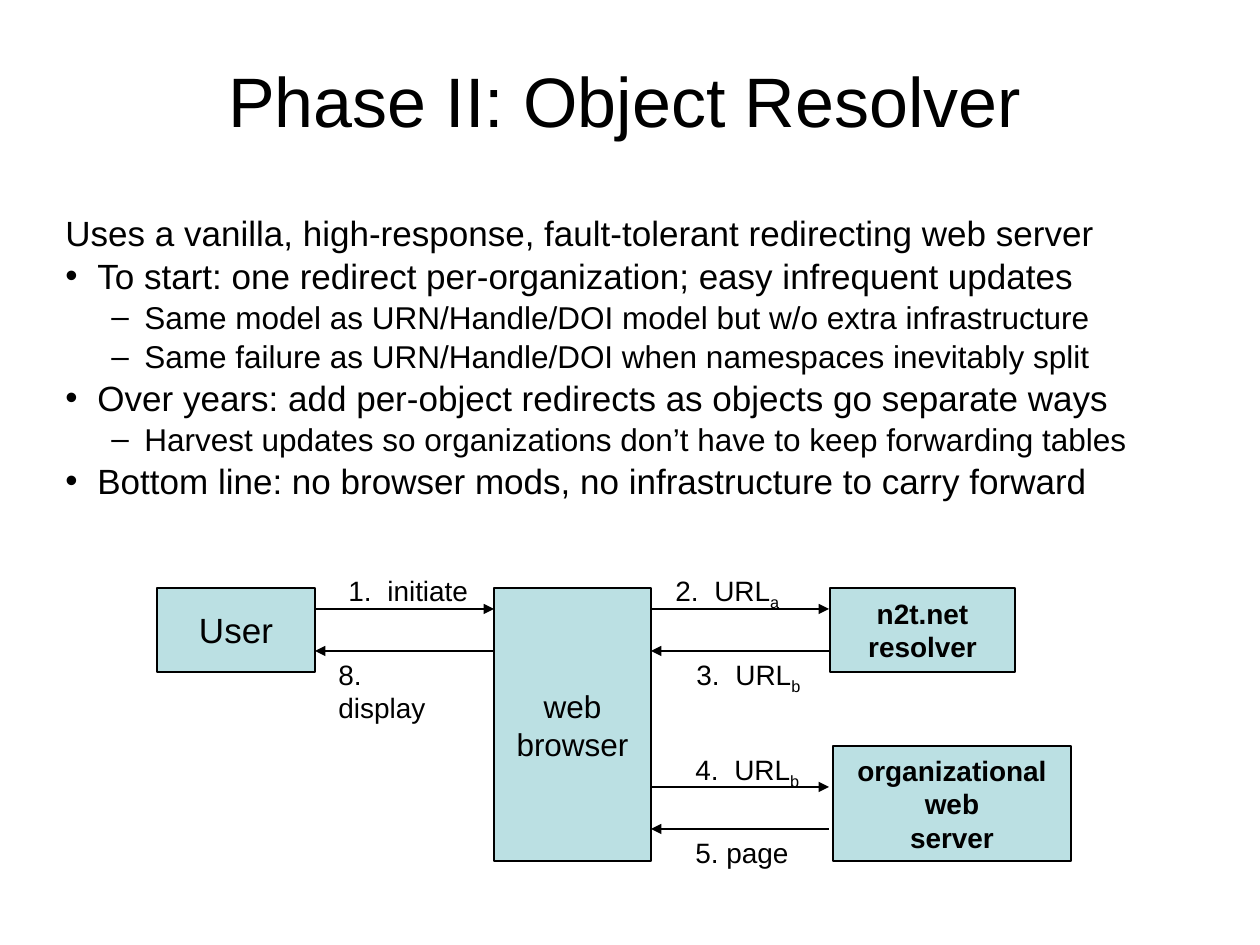
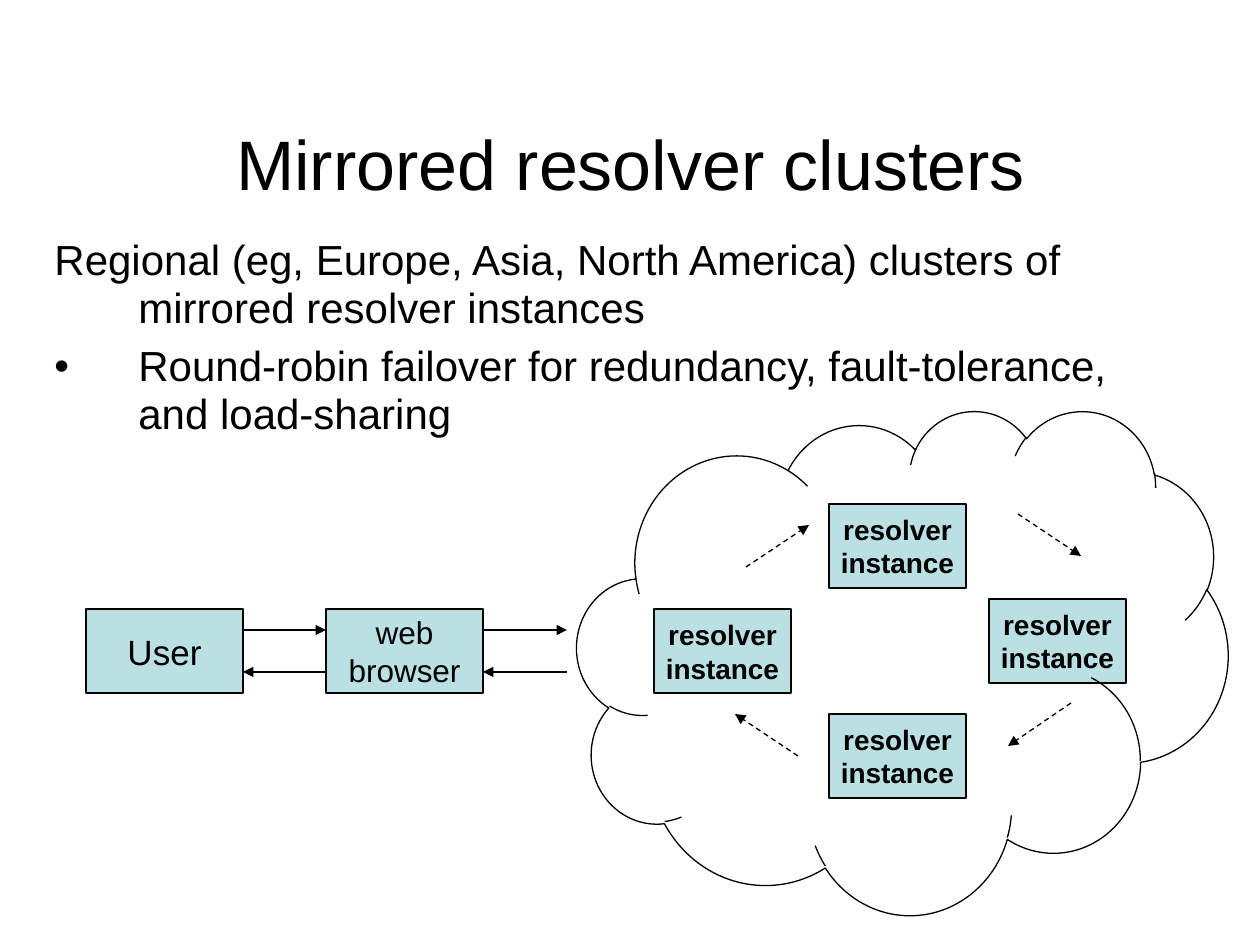
from lxml.etree import SubElement
from pptx import Presentation
from pptx.dml.color import RGBColor
from pptx.enum.dml import MSO_LINE
from pptx.enum.shapes import MSO_CONNECTOR, MSO_SHAPE
from pptx.enum.text import MSO_ANCHOR, PP_ALIGN
from pptx.oxml.ns import qn
from pptx.util import Pt

BLACK = RGBColor(0x00, 0x00, 0x00)
AQUA = RGBColor(0xBB, 0xE0, 0xE3)
FONT = "Arial"
PX = 914400 / 126
TAB = 39

# Bullet styles: mark, left margin, hang (px)
PLAIN, DOT, DASH = "plain", "dot", "dash"

# Boxes: x, y, w, h, text, size, bold; a place is in px
# Labels: x, y, text, subscript
# Arrows: x1, y1, x2, y2
PHASE = {
    "title": ("Phase II: Object Resolver", (73, 21, 1103, 158)),
    "body": (53, 212, 1103, 315),
    "marks": {PLAIN: (None, 32, 32), DOT: ("•", 32, 32), DASH: ("–", 79, 33)},
    "space": 0.83,
    "sizes": {PLAIN: (20, 5), DOT: (20, 5), DASH: (18, 4.5)},
    "points": [
        (PLAIN, "Uses a vanilla, high-response, fault-tolerant redirecting web server"),
        (DOT, "To start: one redirect per-organization; easy infrequent updates"),
        (DASH, "Same model as URN/Handle/DOI model but w/o extra infrastructure"),
        (DASH, "Same failure as URN/Handle/DOI when namespaces inevitably split"),
        (DOT, "Over years: add per-object redirects as objects go separate ways"),
        (DASH, "Harvest updates so organizations don’t have to keep forwarding tables"),
        (DOT, "Bottom line: no browser mods, no infrastructure to carry forward"),
    ],
    "boxes": [
        (157, 588, 158, 84, "User", 20, False),
        (494, 588, 157, 273, "web\nbrowser", 18, False),
        (830, 588, 185, 84, "n2t.net\nresolver", 16, True),
        (833, 746, 238, 115, "organizational web\nserver", 16, True),
    ],
    "labels": [
        (336, 567, "1.\tinitiate", ""),
        (663, 567, "2.\tURL", "a"),
        (684, 651, "3.\tURL", "b"),
        (683, 746, "4.\tURL", "b"),
        (683, 829, "5. page", ""),
        (326, 651, "8.\tdisplay", ""),
    ],
    "arrows": [
        (315, 609, 494, 609), (494, 651, 315, 651),
        (651, 609, 829, 609), (829, 651, 651, 651),
        (651, 787, 829, 787), (829, 829, 651, 829),
    ],
}

NODES = [(829, 504), (989, 599), (829, 714), (654, 609)]
CLUSTER = {
    "title": ("Mirrored resolver clusters", (95, 84, 1071, 158)),
    "body": (42, 231, 1103, 210),
    "marks": {PLAIN: (None, 84, 84), DOT: ("•", 84, 84)},
    "space": 0.95,
    "sizes": {PLAIN: (24, 6), DOT: (24, 6)},
    "points": [
        (PLAIN, "Regional (eg, Europe, Asia, North America) clusters of "
                "mirrored resolver instances"),
        (DOT, "Round-robin failover for redundancy, fault-tolerance, "
              "and load-sharing"),
    ],
    "boxes": [
        (86, 609, 157, 84, "User", 20, False),
        (326, 609, 157, 84, "web\nbrowser", 18, False),
    ] + [(x, y, 137, 84, "resolver\ninstance", 16, True) for x, y in NODES],
    "labels": [],
    "arrows": [
        (243, 630, 326, 630), (326, 672, 243, 672),
        (483, 630, 567, 630), (567, 672, 483, 672),
    ],
}
CLOUD = (577, 410, 651, 504)
CYCLE = [
    (746, 567, 809, 525), (1018, 514, 1081, 556),
    (1071, 703, 1008, 746), (798, 756, 735, 714),
]


def emu(*px):
    return [round(n * PX) for n in px]


def style(para, size, bold=False):
    for run in para.runs:
        font = run.font
        font.name, font.size, font.bold = FONT, Pt(size), bold
        font.color.rgb = BLACK


def add_title(slide, text, place):
    title = slide.shapes.title
    title.left, title.top, title.width, title.height = emu(*place)
    frame = title.text_frame
    frame.text = text
    frame.vertical_anchor = MSO_ANCHOR.MIDDLE
    para = frame.paragraphs[0]
    para.alignment = PP_ALIGN.CENTER
    style(para, 40)


def add_body(slide, data):
    frame = slide.shapes.add_textbox(*emu(*data["body"])).text_frame
    frame.word_wrap = True
    frame.text = "\n".join(text for _, text in data["points"])
    for i, (kind, _) in enumerate(data["points"]):
        para = frame.paragraphs[i]
        mark, left, hang = data["marks"][kind]
        size, gap = data["sizes"][kind]
        para.level = 1 if kind == DASH else 0
        para.line_spacing = data["space"]
        para.space_before = Pt(gap if i else 0)
        prop = para._p.get_or_add_pPr()
        prop.set("marL", str(emu(left)[0]))
        prop.set("indent", str(emu(-hang)[0]))
        if mark:
            SubElement(prop, qn("a:buFont"), typeface=FONT)
            SubElement(prop, qn("a:buChar"), char=mark)
        else:
            SubElement(prop, qn("a:buNone"))
        style(para, size)


def add_shape(slide, kind, place):
    shape = slide.shapes.add_shape(kind, *emu(*place))
    shape.shadow.inherit = False
    shape.line.color.rgb = BLACK
    shape.line.width = Pt(0.75)
    return shape


def add_box(slide, x, y, w, h, text, size, bold):
    box = add_shape(slide, MSO_SHAPE.RECTANGLE, (x, y, w, h))
    box.fill.solid()
    box.fill.fore_color.rgb = AQUA
    frame = box.text_frame
    frame.margin_left = frame.margin_right = 0
    frame.margin_top = frame.margin_bottom = 0
    frame.word_wrap = True
    frame.vertical_anchor = MSO_ANCHOR.MIDDLE
    frame.text = text
    for para in frame.paragraphs:
        para.alignment = PP_ALIGN.CENTER
        style(para, size, bold)


def add_label(slide, x, y, text, sub):
    frame = slide.shapes.add_textbox(*emu(x, y, 145, 47)).text_frame
    frame.word_wrap = False
    frame.text = text
    para = frame.paragraphs[0]
    if "\t" in text:
        tabs = SubElement(para._p.get_or_add_pPr(), qn("a:tabLst"))
        SubElement(tabs, qn("a:tab"), pos=str(emu(TAB)[0]), algn="l")
    if sub:
        run = para.add_run()
        run.text = sub
        run._r.get_or_add_rPr().set("baseline", "-25000")
    style(para, 16)


def add_arrow(slide, ends, dash=False):
    arrow = slide.shapes.add_connector(MSO_CONNECTOR.STRAIGHT, *emu(*ends))
    arrow.line.color.rgb = BLACK
    arrow.line.width = Pt(0.75)
    if dash:
        arrow.line.dash_style = MSO_LINE.DASH
    prop = arrow._element.spPr
    SubElement(prop.find(qn("a:ln")), qn("a:tailEnd"), type="triangle")
    SubElement(prop, qn("a:effectLst"))


def add_slide(deck, data):
    slide = deck.slides.add_slide(deck.slide_layouts[5])
    add_title(slide, *data["title"])
    add_body(slide, data)
    for box in data["boxes"]:
        add_box(slide, *box)
    for label in data["labels"]:
        add_label(slide, *label)
    for ends in data["arrows"]:
        add_arrow(slide, ends)
    return slide


def main():
    deck = Presentation()
    deck.slide_width, deck.slide_height = emu(1260, 945)
    add_slide(deck, PHASE)
    slide = add_slide(deck, CLUSTER)
    add_shape(slide, MSO_SHAPE.CLOUD, CLOUD).fill.background()
    for ends in CYCLE:
        add_arrow(slide, ends, dash=True)
    deck.save("out.pptx")


if __name__ == "__main__":
    main()
